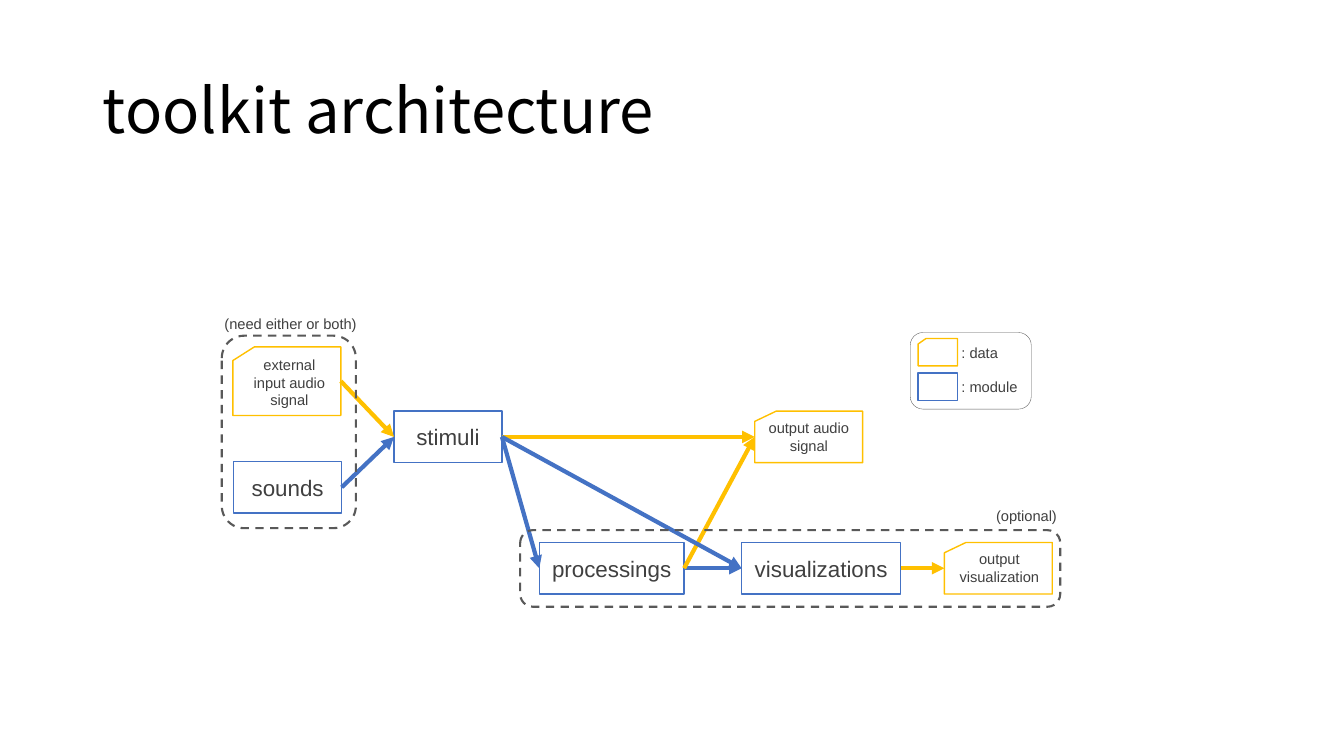
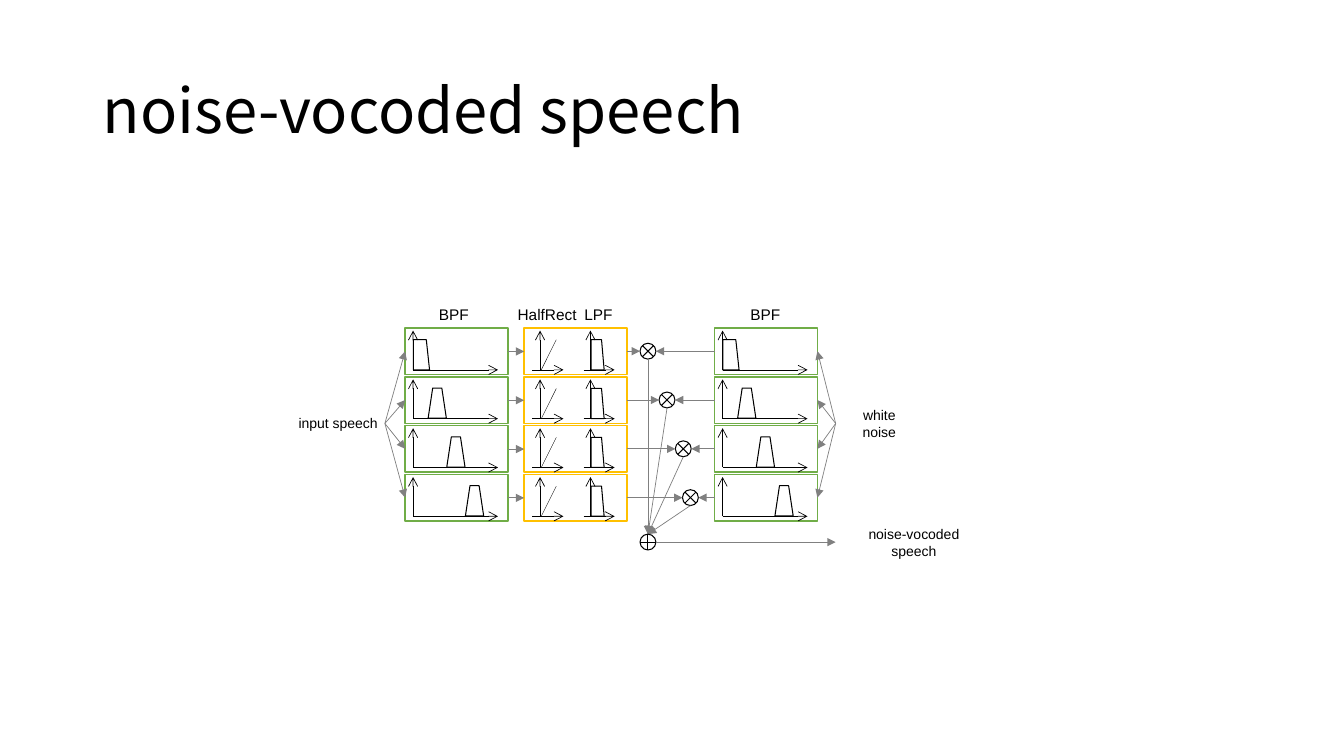
"""Build two slides on an audio toolkit: its architecture and noise-vocoded speech."""
from lxml.etree import SubElement
from pptx import Presentation
from pptx.dml.color import RGBColor
from pptx.enum.dml import MSO_LINE
from pptx.enum.shapes import MSO_CONNECTOR, MSO_SHAPE
from pptx.enum.text import MSO_ANCHOR, MSO_AUTO_SIZE, PP_ALIGN
from pptx.oxml.ns import qn
from pptx.util import Cm, Pt

BLUE, YELLOW, GREEN = "4472C4", "FFC000", "70AD47"
BLACK, GREY, DARK, TEXT, WHITE = "000000", "808080", "595959", "404040", "FFFFFF"
LEFT_SITE, RIGHT_SITE = 1, 3


def color(value):
    """Turn a hex string into a colour."""
    return RGBColor.from_string(value)


class Painter:
    """Hold the shared style and draw on the current slide."""

    title_format = {"name": "Noto Sans CJK JP", "size": Pt(44)}
    body_font = "Arial"

    def __init__(self, deck):
        """Keep the deck that receives the slides."""
        self.deck = deck
        self.page = None

    def new_page(self, title):
        """Add a blank slide with its title."""
        self.page = self.deck.slides.add_slide(self.deck.slide_layouts[6])
        box = self.page.shapes.add_textbox(Cm(2.34), Cm(1.02), Cm(29.21), Cm(3.68))
        para = self.set_text(box.text_frame, title, self.title_format, BLACK, PP_ALIGN.LEFT)
        para.line_spacing = 0.9

    def set_text(self, frame, text, font_format, ink, align, anchor=MSO_ANCHOR.MIDDLE, wrap=True):
        """Fill a text frame with one formatted paragraph."""
        for name, value in {"word_wrap": wrap, "vertical_anchor": anchor}.items():
            setattr(frame, name, value)
        para = frame.paragraphs[0]
        para.alignment = align
        span = para.add_run()
        span.text = text
        for name, value in font_format.items():
            setattr(span.font, name, value)
        span.font.color.rgb = color(ink)
        return para

    def shape(self, kind, left, top, width, height, ink, weight=1, fill=None, dash=None,
              turn=0, text=None):
        """Draw an outlined preset shape, with centred text if given."""
        box = self.page.shapes.add_shape(kind, Cm(left), Cm(top), Cm(width), Cm(height))
        box.shadow.inherit = False
        box.rotation = turn
        if fill:
            box.fill.solid()
            box.fill.fore_color.rgb = color(fill)
        else:
            box.fill.background()
        box.line.color.rgb = color(ink)
        for name, value in {"width": Pt(weight), "dash_style": dash}.items():
            setattr(box.line, name, value)
        if text:
            font_format = {"name": self.body_font, "size": Pt(16)}
            self.set_text(box.text_frame, text, font_format, TEXT, PP_ALIGN.CENTER)
        return box

    def module(self, left, top, width, height=1.3, text=None):
        """Draw a blue module box."""
        return self.shape(MSO_SHAPE.RECTANGLE, left, top, width, height, BLUE, fill=WHITE, text=text)

    def data(self, left, top, width=2.72, height=1.3):
        """Draw a yellow data card."""
        return self.shape(MSO_SHAPE.FLOWCHART_CARD, left, top, width, height, YELLOW, fill=WHITE)

    def note(self, text, left, top, width, height=0.71, align=PP_ALIGN.CENTER, anchor=MSO_ANCHOR.TOP):
        """Add a small wrapped text."""
        box = self.page.shapes.add_textbox(Cm(left), Cm(top), Cm(width), Cm(height))
        font_format = {"name": self.body_font, "size": Pt(10.5)}
        self.set_text(box.text_frame, text, font_format, TEXT, align, anchor)
        box.text_frame.auto_size = MSO_AUTO_SIZE.SHAPE_TO_FIT_TEXT

    def label(self, text, left, top, width, size):
        """Add a one-line centred label without side margins."""
        box = self.page.shapes.add_textbox(Cm(left), Cm(top), Cm(width), Cm(0.56))
        box.text_frame.margin_left = box.text_frame.margin_right = 0
        font_format = {"name": self.body_font, "size": Pt(size)}
        self.set_text(box.text_frame, text, font_format, BLACK, PP_ALIGN.CENTER, wrap=False)

    def line(self, start, end, ink=GREY, weight=0.5, tip="triangle"):
        """Draw a straight line with an optional arrowhead."""
        line = self.page.shapes.add_connector(
            MSO_CONNECTOR.STRAIGHT, *(Cm(value) for value in (*start, *end)))
        line.line.color.rgb = color(ink)
        line.line.width = Pt(weight)
        properties = line.element.spPr
        if tip:
            SubElement(properties.find(qn("a:ln")), qn("a:tailEnd"), type=tip)
        SubElement(properties, qn("a:effectLst"))
        return line

    def link(self, source, target, ink=GREY, weight=0.5):
        """Join the right side of one box to the left side of another."""
        arrow = self.line((0, 0), (0, 0), ink, weight)
        arrow.begin_connect(source, RIGHT_SITE)
        arrow.end_connect(target, LEFT_SITE)

    def axes(self, left, top, origin, right, start=None):
        """Draw the two axes of a small plot inside a panel."""
        start = origin if start is None else start
        base = top + 1.05
        self.line((left + start, base), (left + right, base), BLACK, tip="arrow")
        self.line((left + origin, base), (left + origin, top + 0.06), BLACK, tip="arrow")

    def low_pass(self, left, top, center, width):
        """Draw a low-pass response around a centre inside a panel."""
        self.shape(MSO_SHAPE.FLOWCHART_MANUAL_INPUT, left + center - 0.38,
                   top + 0.67 - width / 2, 0.76, width, BLACK, 0.75, turn=90)

    def band_panel(self, left, top, band):
        """Draw a band-pass panel whose response moves right with the band."""
        if band:
            self.shape(MSO_SHAPE.TRAPEZOID, left + 0.11 + 0.47 * band, top + 0.28,
                       0.46, 0.76, BLACK, 0.75)
        else:
            self.low_pass(left, top, 0.41, 0.41)
        panel = self.shape(MSO_SHAPE.RECTANGLE, left, top, 2.59, 1.17, GREEN)
        self.axes(left, top, 0.2, 2.34)
        return panel

    def envelope_panel(self, left, top):
        """Draw a panel with a half-wave rectifier and a low-pass filter."""
        panel = self.shape(MSO_SHAPE.RECTANGLE, left, top, 2.59, 1.17, YELLOW)
        self.axes(left, top, 0.4, 0.99, start=0.2)
        self.line((left + 0.43, top + 1.05), (left + 0.81, top + 0.29), BLACK, 0.25, None)
        self.low_pass(left, top, 1.85, 0.33)
        self.axes(left, top, 1.67, 2.28, start=1.5)
        return panel


def draw_architecture(painter):
    """Draw the modules, the data and the flow between them."""
    painter.new_page("toolkit architecture")
    sounds = painter.module(5.89, 11.63, 2.72, text="sounds")
    stimuli = painter.module(9.93, 10.36, 2.72, text="stimuli")
    processings = painter.module(13.59, 13.67, 3.65, text="processings")
    visualizations = painter.module(18.69, 13.67, 4.01, text="visualizations")
    external = painter.data(5.87, 8.74, height=1.73)
    audio = painter.data(19.02, 10.36)
    graphic = painter.data(23.8, 13.67)
    for source, target, ink in (
            (sounds, stimuli, BLUE), (stimuli, processings, BLUE),
            (processings, visualizations, BLUE), (external, stimuli, YELLOW),
            (processings, audio, YELLOW), (visualizations, graphic, YELLOW),
            (stimuli, audio, YELLOW), (stimuli, visualizations, BLUE)):
        painter.link(source, target, ink, 3)
    for frame in ((13.11, 13.36, 13.61, 1.93), (5.59, 8.46, 3.38, 4.85)):
        painter.shape(MSO_SHAPE.ROUNDED_RECTANGLE, *frame, DARK, 1.5, dash=MSO_LINE.DASH)
    painter.note("external input audio signal", 6.05, 8.84, 2.49, 1.6)
    painter.note("output audio signal", 19.05, 10.44, 2.67, 1.14)
    painter.note("output visualization", 23.85, 13.74, 2.67, 1.14)
    painter.note("(optional)", 24.79, 12.65, 2.16)
    painter.note("(need either or both)", 5.23, 7.8, 4.19)
    painter.data(23.14, 8.53, 0.99, 0.69)
    painter.module(23.14, 9.4, 0.99, 0.69)
    for text, top, width in ((": data", 8.53, 1.65), (": module", 9.4, 2.16)):
        painter.note(text, 23.98, top, width, align=PP_ALIGN.LEFT, anchor=MSO_ANCHOR.MIDDLE)
    painter.shape(MSO_SHAPE.ROUNDED_RECTANGLE, 22.94, 8.38, 3.05, 1.93, DARK, 0.25)


def draw_vocoder(painter):
    """Draw the four bands of the noise vocoder and their sum."""
    painter.new_page("noise-vocoded speech")
    speech_left, envelope_left, noise_left, panel_width = 10.21, 13.21, 18.01, 2.59
    speech, noise, node = (9.7, 10.67), (21.06, 10.67), 0.4
    sum_left, sum_top = 16.13, 13.46
    for band, mixer_left in enumerate((16.13, 16.61, 17.02, 17.2)):
        top = 8.27 + 1.23 * band
        middle = top + 0.58
        band_panel = painter.band_panel(speech_left, top, band)
        envelope_panel = painter.envelope_panel(envelope_left, top)
        painter.band_panel(noise_left, top, band)
        painter.link(band_panel, envelope_panel)
        painter.shape(MSO_SHAPE.FLOWCHART_SUMMING_JUNCTION, mixer_left, middle - node / 2,
                      node, node, BLACK, 0.75)
        for start, end in (
                (speech, (speech_left, middle)),
                (noise, (noise_left + panel_width, middle)),
                ((envelope_left + panel_width, middle), (mixer_left, middle)),
                ((noise_left, middle), (mixer_left + node, middle)),
                ((mixer_left + node / 2, middle + node / 2), (sum_left + node / 2, sum_top))):
            painter.line(start, end)
    painter.shape(MSO_SHAPE.FLOWCHART_OR, sum_left, sum_top, node, node, BLACK, 0.75)
    sum_middle = sum_top + node / 2
    painter.line((sum_left + node, sum_middle), (noise[0], sum_middle))
    for text, left, width in (("BPF", 11.02, 0.84), ("HalfRect", 12.95, 1.68),
                              ("LPF", 14.55, 1.07), ("BPF", 18.87, 0.84)):
        painter.label(text, left, 7.65, width, 11)
    for text, left, top, width in (("input speech", 7.16, 10.38, 2.72),
                                   ("white noise", 21.74, 10.38, 0.84),
                                   ("noise-vocoded speech", 21.67, 13.39, 2.72)):
        painter.label(text, left, top, width, 10)


deck = Presentation()
deck.slide_width, deck.slide_height = Cm(33.87), Cm(19.05)
painter = Painter(deck)
draw_architecture(painter)
draw_vocoder(painter)
deck.save("out.pptx")
